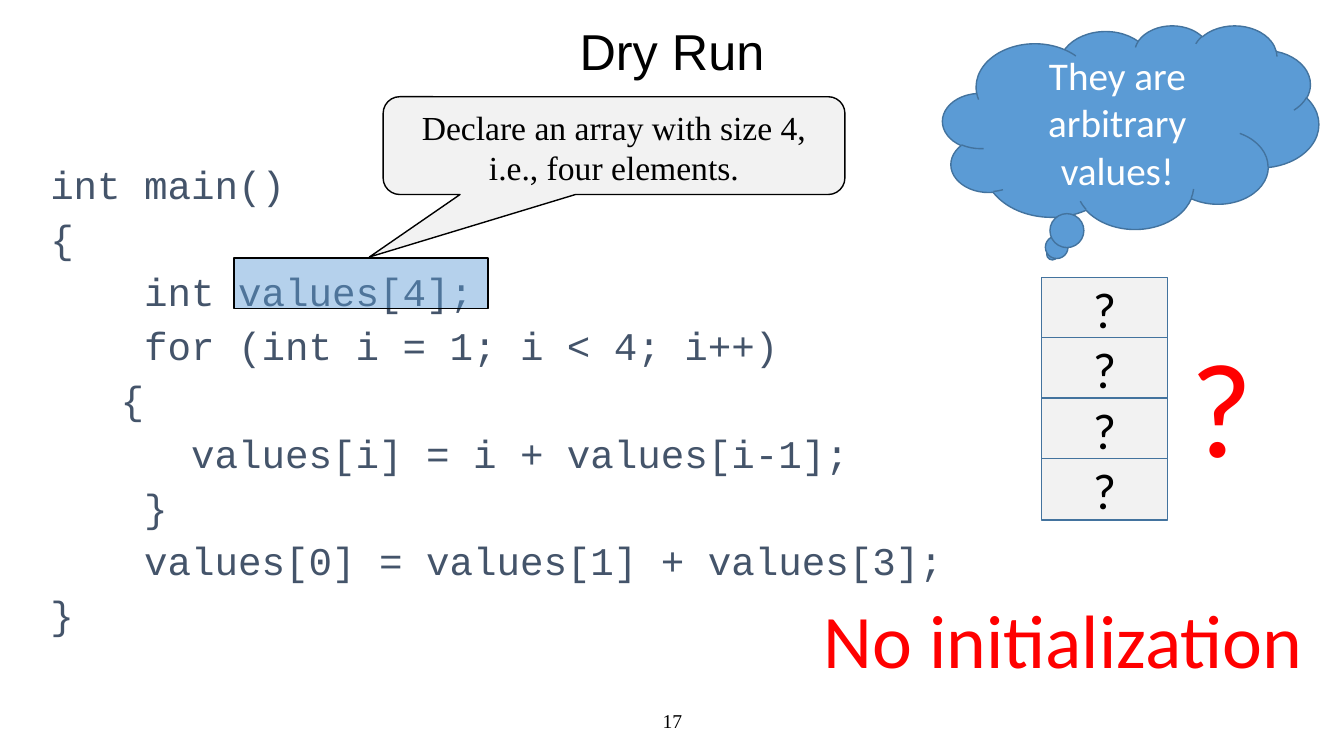
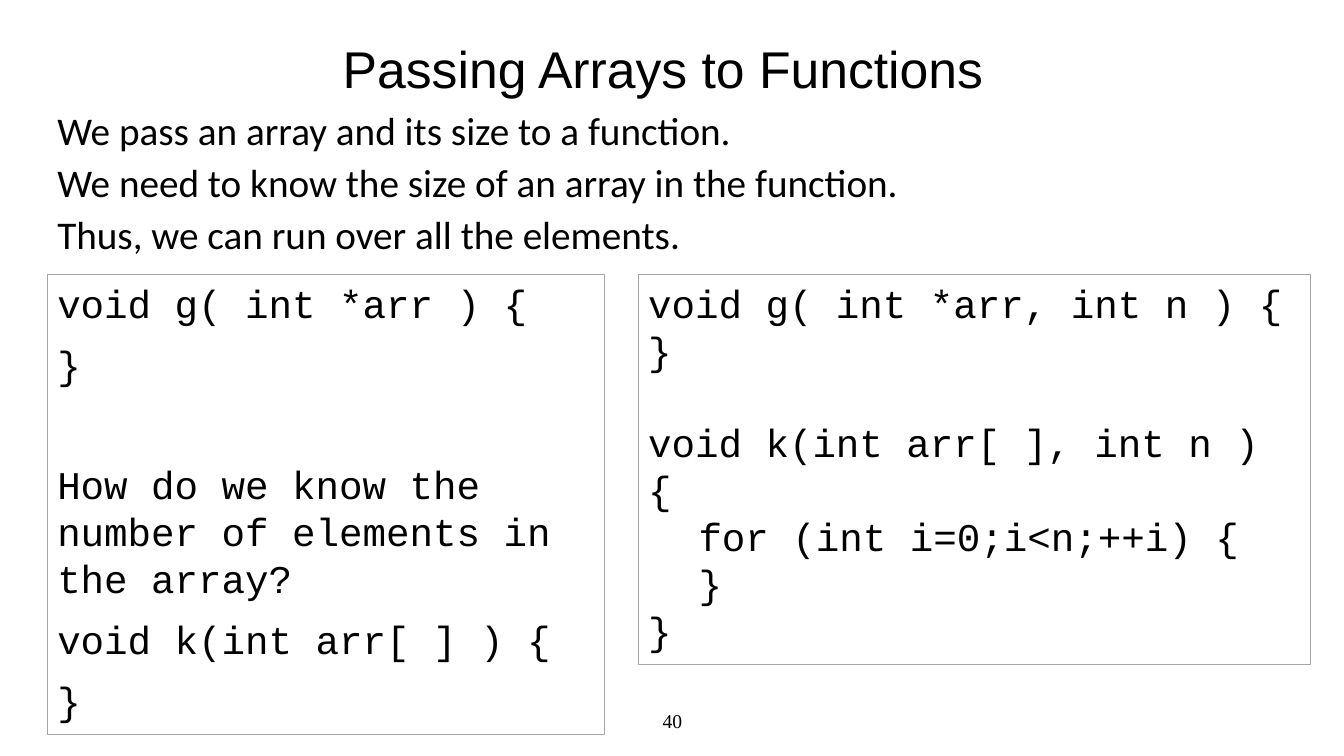
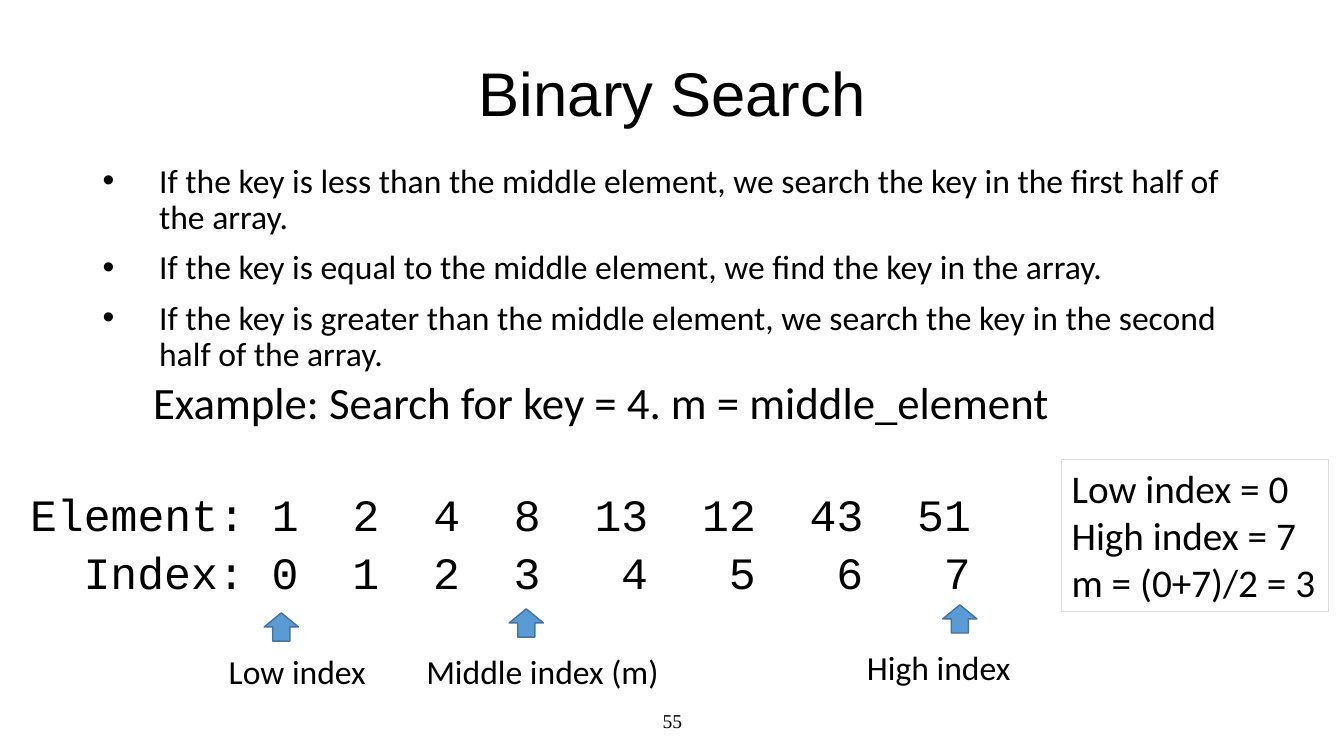
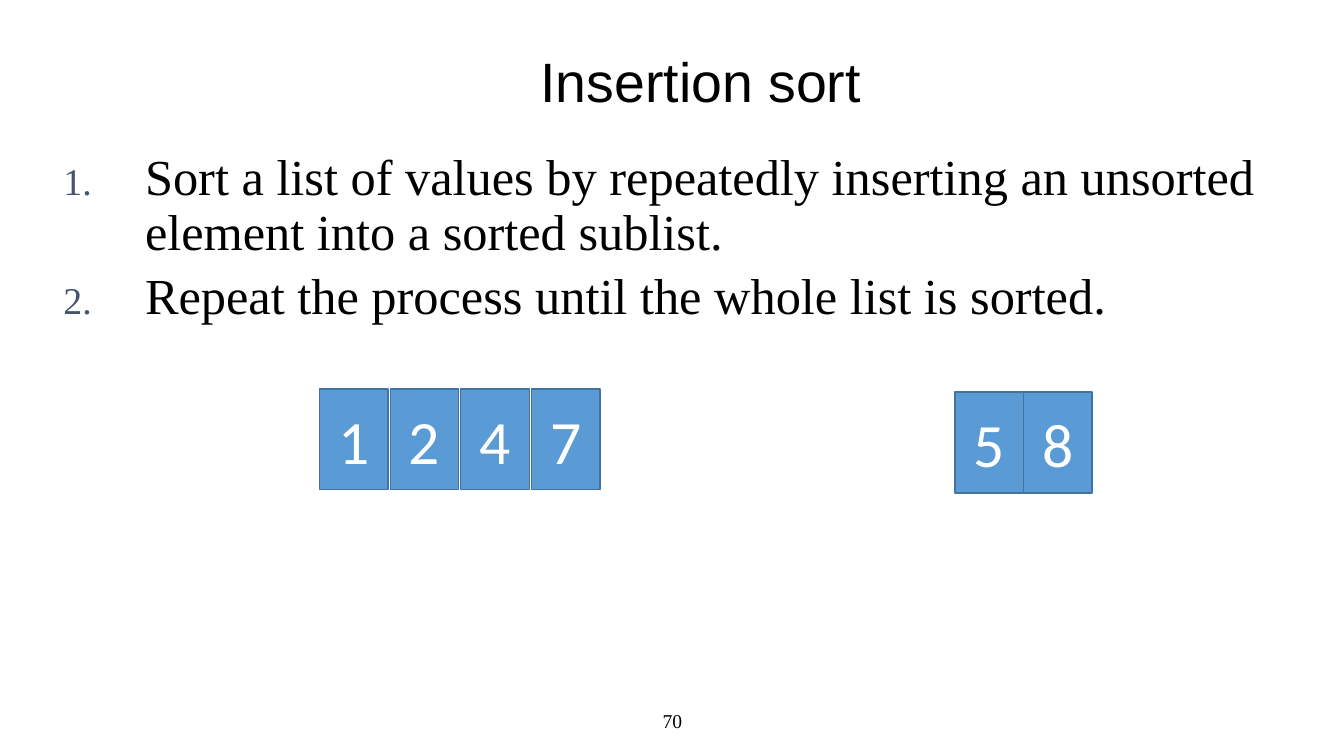
from dataclasses import dataclass
from lxml import etree
from pptx import Presentation
from pptx.dml.color import RGBColor
from pptx.enum.shapes import MSO_SHAPE as SHAPE
from pptx.enum.text import MSO_ANCHOR as ANCHOR, MSO_AUTO_SIZE as FIT, PP_ALIGN as ALIGN
from pptx.oxml.ns import qn
from pptx.util import Emu, Pt

SCALE = 9144
LEFT, CENTER = ALIGN.LEFT, ALIGN.CENTER


def px(n):
    return Emu(n * SCALE)


@dataclass(frozen=True)
class Theme:
    black: str = "000000"
    white: str = "FFFFFF"
    red: str = "FF0000"
    slate: str = "44546A"
    blue: str = "5B9BD5"
    edge: str = "43739E"
    pale: str = "F2F2F2"
    gray: str = "A6A6A6"
    light: str = "D9D9D9"
    head: str = "Arial"
    sans: str = "Calibri"
    serif: str = "Times New Roman"
    mono: str = "Courier New"
    page: int = 14
    small: int = 24
    body: int = 28
    large: int = 32
    big: int = 36
    digit: int = 44
    shout: int = 54
    huge: int = 96


T = Theme()


def child(parent, tag, **attrs):
    return etree.SubElement(parent, qn(tag), attrs)


class Deck:
    def __init__(self):
        self.prs = Presentation()
        self.prs.slide_width, self.prs.slide_height = px(1333), px(750)
        self.s = None

    def slide(self, title, page, box, size):
        self.s = self.prs.slides.add_slide(self.prs.slide_layouts[5])
        sp = self.s.shapes.title
        sp.left, sp.top, sp.width, sp.height = map(px, box)
        self.fill_text(sp, [title], size, T.head, align=CENTER, anchor=ANCHOR.MIDDLE, leading=0.9)
        self.text((442, 695, 450, 40), [str(page)], T.page, T.serif,
                  align=CENTER, anchor=ANCHOR.MIDDLE)

    def fill_text(self, sp, lines, size, font=T.sans, color=T.black, align=LEFT,
                  anchor=ANCHOR.TOP, leading=None, gap=0, wrap=True, fit=FIT.NONE):
        tf = sp.text_frame
        tf.word_wrap, tf.auto_size, tf.vertical_anchor = wrap, fit, anchor
        for i, line in enumerate(lines):
            p = tf.add_paragraph() if i else tf.paragraphs[0]
            p.text = line
            p.alignment = align
            p.line_spacing = leading
            p.space_before = Pt(gap if i else 0)
            for r in p.runs:
                r.font.size, r.font.name = Pt(size), font
                r.font.color.rgb = RGBColor.from_string(color)
        return tf.paragraphs

    def text(self, box, lines, size, font=T.sans, color=T.black, line=None, **style):
        sp = self.s.shapes.add_textbox(*map(px, box))
        if line:
            self.outline(sp, line, 0.75)
        return self.fill_text(sp, lines, size, font, color, **style)

    def label(self, box, lines, size, **style):
        return self.text(box, lines, size, wrap=False, fit=FIT.SHAPE_TO_FIT_TEXT, **style)

    def outline(self, sp, color, width=1):
        sp.line.color.rgb = RGBColor.from_string(color)
        sp.line.width = Pt(width)

    def shape(self, kind, box, fill=T.blue, line=T.edge, alpha=None):
        sp = self.s.shapes.add_shape(kind, *map(px, box))
        sp.shadow.inherit = False
        sp.fill.solid()
        sp.fill.fore_color.rgb = RGBColor.from_string(fill)
        if alpha:
            color = sp.element.spPr.find(qn("a:solidFill"))[0]
            child(color, "a:alpha", val=str(alpha * 1000))
        self.outline(sp, line)
        return sp

    def cell(self, box, value, size, fill=T.blue, color=T.white):
        sp = self.shape(SHAPE.RECTANGLE, box, fill)
        self.fill_text(sp, [value], size, color=color, align=CENTER, anchor=ANCHOR.MIDDLE)

    def indent(self, p, margin, first):
        pPr = p._p.get_or_add_pPr()
        pPr.set("marL", str(px(margin)))
        pPr.set("indent", str(px(first)))
        return pPr

    def bullet(self, p, margin):
        pPr = self.indent(p, margin, -margin)
        child(pPr, "a:buFont", typeface=T.head)
        child(pPr, "a:buChar", char="•")

    def number(self, p, margin):
        pPr = self.indent(p, margin, -margin)
        child(child(pPr, "a:buClr"), "a:srgbClr", val=T.slate)
        child(pPr, "a:buSzPct", val="75000")
        child(pPr, "a:buFont", typeface=T.serif)
        child(pPr, "a:buAutoNum", type="arabicPeriod")

    def columns(self, box, name, values, ends):
        p = self.text(box, ["\t".join([name, *values])], T.large, T.mono)[0]
        tabs = child(p._p.get_or_add_pPr(), "a:tabLst")
        for end in ends:
            child(tabs, "a:tab", pos=str(Pt(end * T.large * 0.6)), algn="r")


def dry_run(d):
    d.slide("Dry Run", 17, (0, 25, 1333, 58), T.big)
    d.text((40, 163, 988, 532), [
        "int main()",
        "{",
        "    int values[4];",
        "    for (int i = 1; i < 4; i++)",
        "   {",
        "      values[i] = i + values[i-1];",
        "    }",
        "    values[0] = values[1] + values[3];",
        "}",
    ], T.body, T.mono, T.slate, leading=0.8, gap=11.5)
    sp = d.shape(SHAPE.ROUNDED_RECTANGULAR_CALLOUT, (380, 96, 458, 97), T.pale, T.black)
    for i, value in enumerate((-0.53, 1.14, 0.17)):
        sp.adjustments[i] = value
    d.fill_text(sp, ["Declare an array with size 4, i.e., four elements."],
                T.small, T.serif, align=CENTER)
    d.shape(SHAPE.RECTANGLE, (232, 256, 252, 50), line=T.black, alpha=45)
    for i in range(4):
        d.cell((1033, 275 + 60 * i, 125, 61), "?", T.big, T.pale, T.black)
    d.label((1171, 316, 83, 172), ["?"], T.huge, color=T.red)
    d.label((807, 583, 501, 101), ["No initialization"], T.shout, color=T.red)
    sp = d.shape(SHAPE.CLOUD_CALLOUT, (935, 25, 373, 202))
    d.fill_text(sp, ["They are arbitrary values!"], T.body, color=T.white,
                align=CENTER, anchor=ANCHOR.MIDDLE)


def passing_arrays(d):
    d.slide("Passing Arrays to Functions", 40, (233, 42, 850, 58), 36.9)
    d.text((47, 110, 1253, 238), [
        "We pass an array and its size to a function.",
        "We need to know the size of an array in the function.",
        "Thus, we can run over all the elements.",
    ], T.body, leading=0.8, gap=10)
    sized = d.text((633, 272, 667, 387), [
        "void g( int *arr, int n ) {",
        "}",
        "void k(int arr[ ], int n ) {",
        "\tfor (int i=0;i<n;++i) {",
        "\t}",
        "}",
    ], T.body, T.mono, line=T.gray)
    sized[2].space_before = Pt(32)
    unsized = d.text((47, 272, 553, 457), [
        "void g( int *arr ) {",
        "}",
        "How do we know the number of elements in the array?",
        "void k(int arr[ ] ) {",
        "}",
    ], T.body, T.mono, line=T.gray, gap=10)
    unsized[2].space_before = Pt(52)


def binary_search(d):
    d.slide("Binary Search", 55, (242, 50, 850, 92), T.digit)
    *rules, example = d.text((92, 158, 1146, 508), [
        "If the key is less than the middle element, we search the key in the first half of the array.",
        "If the key is equal to the middle element, we find the key in the array.",
        "If the key is greater than the middle element, we search the key in the second half of the array.",
        "Example: Search for key = 4. m = middle_element",
    ], T.small, leading=0.9, gap=10)
    for p in rules:
        d.bullet(p, 56)
    d.indent(example, 32, 18)
    example.space_before = Pt(5)
    example.runs[0].font.size = Pt(T.large)
    ends = (10, 13, 16, 19, 23, 27, 31, 35)
    d.columns((20, 478, 966, 64), "Element:", "1 2 4 8 13 12 43 51".split(), ends)
    d.columns((73, 535, 912, 64), "Index:", "01234567", [end - 2 for end in ends])
    d.label((1053, 456, 265, 151), ["Low index = 0", "High index = 7", "m = (0+7)/2 = 3"],
            T.body, line=T.light)
    for name, left, top, width, arrow, rise in (
        ("Low index", 217, 641, 158, 262, 33),
        ("High index", 850, 637, 164, 935, 37),
        ("Middle index (m)", 413, 641, 253, 505, 37),
    ):
        d.label((left, top, width, 50), [name], T.small)
        d.shape(SHAPE.UP_ARROW, (arrow, top - rise, 34, 28))


def insertion_sort(d):
    d.slide("Insertion sort", 70, (53, 50, 1284, 67), 39.6)
    for values, left, top, step in (("1247", 317, 386, 70), ("58", 947, 389, 68)):
        for i, value in enumerate(values):
            d.cell((left + step * i, top, 68, 100), value, T.digit)
    for p in d.text((53, 146, 1262, 277), [
        "Sort a list of values by repeatedly inserting an unsorted element into a sorted sublist.",
        "Repeat the process until the whole list is sorted.",
    ], T.big, T.serif, leading=0.9, gap=7):
        d.number(p, 81)


def main():
    d = Deck()
    for build in (dry_run, passing_arrays, binary_search, insertion_sort):
        build(d)
    d.prs.save("out.pptx")


if __name__ == "__main__":
    main()
